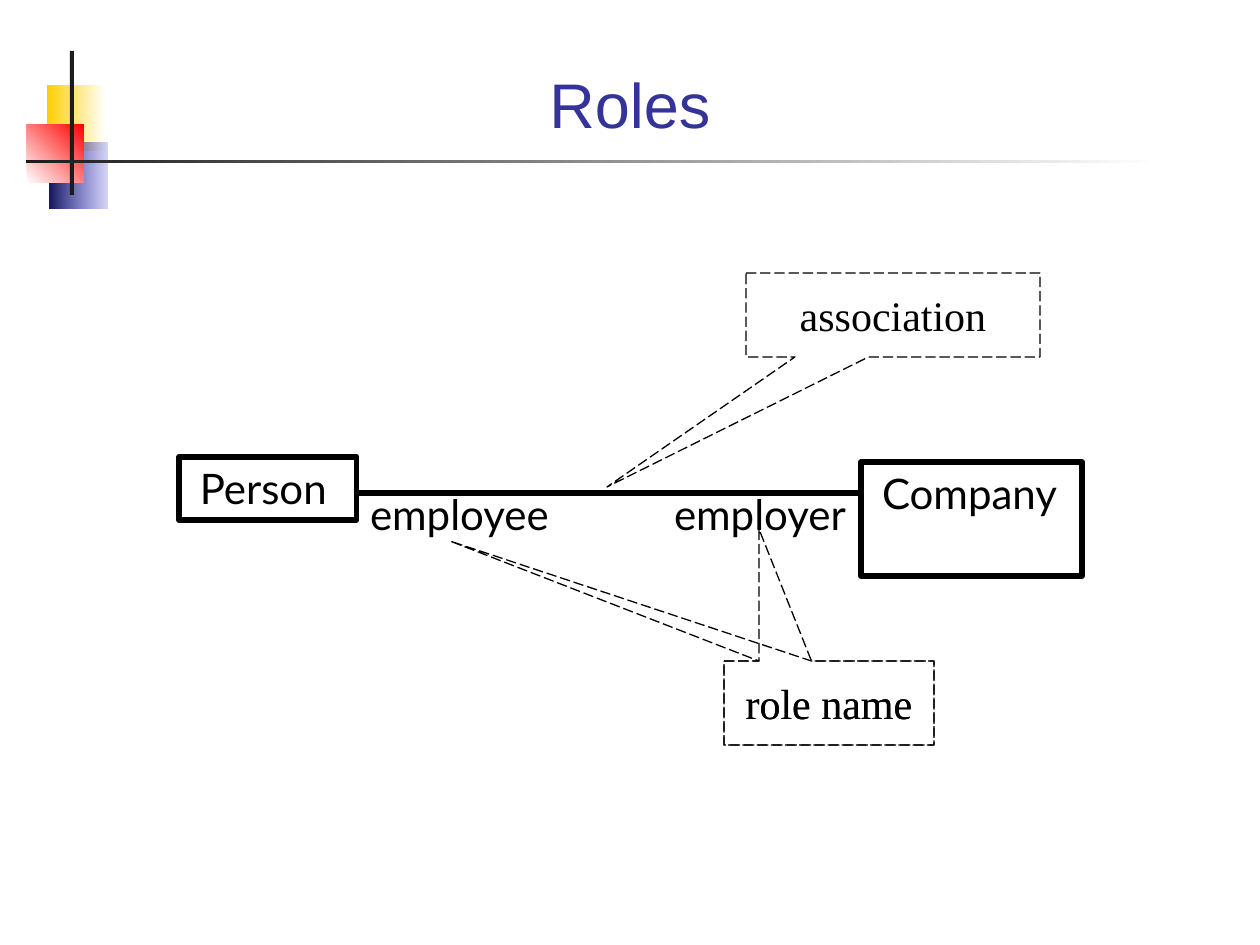
from lxml import etree
from pptx import Presentation
from pptx import util as u
from pptx.dml.color import RGBColor
from pptx.enum import dml, shapes, text
from pptx.oxml.ns import qn

PX = 914400 / 126
COLORS = {"ink": "000000", "title": "333399", "bar": "1C1C1C", "white": "FFFFFF",
          "yellow": "FFCF01", "navy": "17175E", "blue": "3333CC", "red": "FF0000"}


def px(*lengths):
    return [u.Emu(round(length * PX)) for length in lengths]


def write(box, words, font="Lato", size=24, color="ink", align=text.PP_ALIGN.LEFT,
          anchor=text.MSO_ANCHOR.TOP, wrap=True, left=13):
    frame = box.text_frame
    frame.word_wrap, frame.vertical_anchor = wrap, anchor
    frame.margin_left, frame.margin_right, frame.margin_top, frame.margin_bottom = px(left, 13, 6, 6)
    para = frame.paragraphs[0]
    para.alignment = align
    span = para.add_run()
    span.text = words
    span.font.name, span.font.size = font, u.Pt(size)
    span.font.color.rgb = RGBColor.from_string(COLORS[color])


deck = Presentation()
deck.slide_width, deck.slide_height = px(1260, 945)
page = deck.slides.add_slide(deck.slide_layouts[5])

# Title
title = page.shapes.title
title.left, title.top, title.width, title.height = px(84, 53, 1092, 94)
write(title, "Roles", font="Arial", size=36, color="title",
      align=text.PP_ALIGN.CENTER, anchor=text.MSO_ANCHOR.BOTTOM)

# Corner ornament: place, first colour, last colour, angle
ornament = [
    ((47, 85, 59, 66), "yellow", "white", 0),
    ((49, 143, 58, 66), "navy", "blue", 0),
    ((27, 124, 57, 59), "white", "red", 45),
    ((70, 51, 4, 144), "bar", "bar", 0),
    ((26, 160, 1133, 3), "bar", "white", 0),
]
for place, first, last, angle in ornament:
    block = page.shapes.add_shape(shapes.MSO_SHAPE.RECTANGLE, *px(*place))
    block.shadow.inherit = False
    block.line.fill.background()
    if first == last:
        block.fill.solid()
        block.fill.fore_color.rgb = RGBColor.from_string(COLORS[first])
        continue
    block.fill.gradient()
    block.fill.gradient_angle = angle
    for stop, color in zip(block.fill.gradient_stops, (first, last)):
        stop.color.rgb = RGBColor.from_string(COLORS[color])
    if last == "blue":
        tint = block._element.spPr.findall(".//" + qn("a:srgbClr"))[-1]
        etree.SubElement(tint, qn("a:alpha"), val="20000")

# Dashed callouts: words, place, tip of the pointer
callouts = [
    ("role name", (724, 661, 210, 84), (450, 541)),
    ("association", (746, 273, 294, 84), (607, 487)),
    ("role name", (724, 661, 210, 84), (759, 529)),
]
for words, (x, y, w, h), (tip_x, tip_y) in callouts:
    callout = page.shapes.add_shape(shapes.MSO_SHAPE.RECTANGULAR_CALLOUT, *px(x, y, w, h))
    callout.adjustments[0] = (tip_x - x - w / 2) / w
    callout.adjustments[1] = (tip_y - y - h / 2) / h
    callout.shadow.inherit = False
    callout.fill.background()
    callout.line.color.rgb = RGBColor.from_string(COLORS["ink"])
    callout.line.width = u.Pt(0.75)
    callout.line.dash_style = dml.MSO_LINE.LONG_DASH
    write(callout, words, font="Times New Roman", align=text.PP_ALIGN.CENTER,
          anchor=text.MSO_ANCHOR.MIDDLE, wrap=False)

# Classes
for words, place in [("Person", (179, 457, 178, 63)), ("Company", (861, 462, 221, 114))]:
    box = page.shapes.add_shape(shapes.MSO_SHAPE.RECTANGLE, *px(*place))
    box.shadow.inherit = False
    box.fill.background()
    box.line.color.rgb = RGBColor.from_string(COLORS["ink"])
    box.line.width = u.Pt(3)
    write(box, words, left=21)

# Association line
link = page.shapes.add_connector(shapes.MSO_CONNECTOR.STRAIGHT, *px(357, 493, 861, 493))
link.line.color.rgb = RGBColor.from_string(COLORS["ink"])
link.line.width = u.Pt(3)
etree.SubElement(link._element.spPr, qn("a:effectLst"))

# Role names
for words, x in [("employee", 357), ("employer", 661)]:
    write(page.shapes.add_textbox(*px(x, 483, 231, 63)), words)

deck.save("out.pptx")
